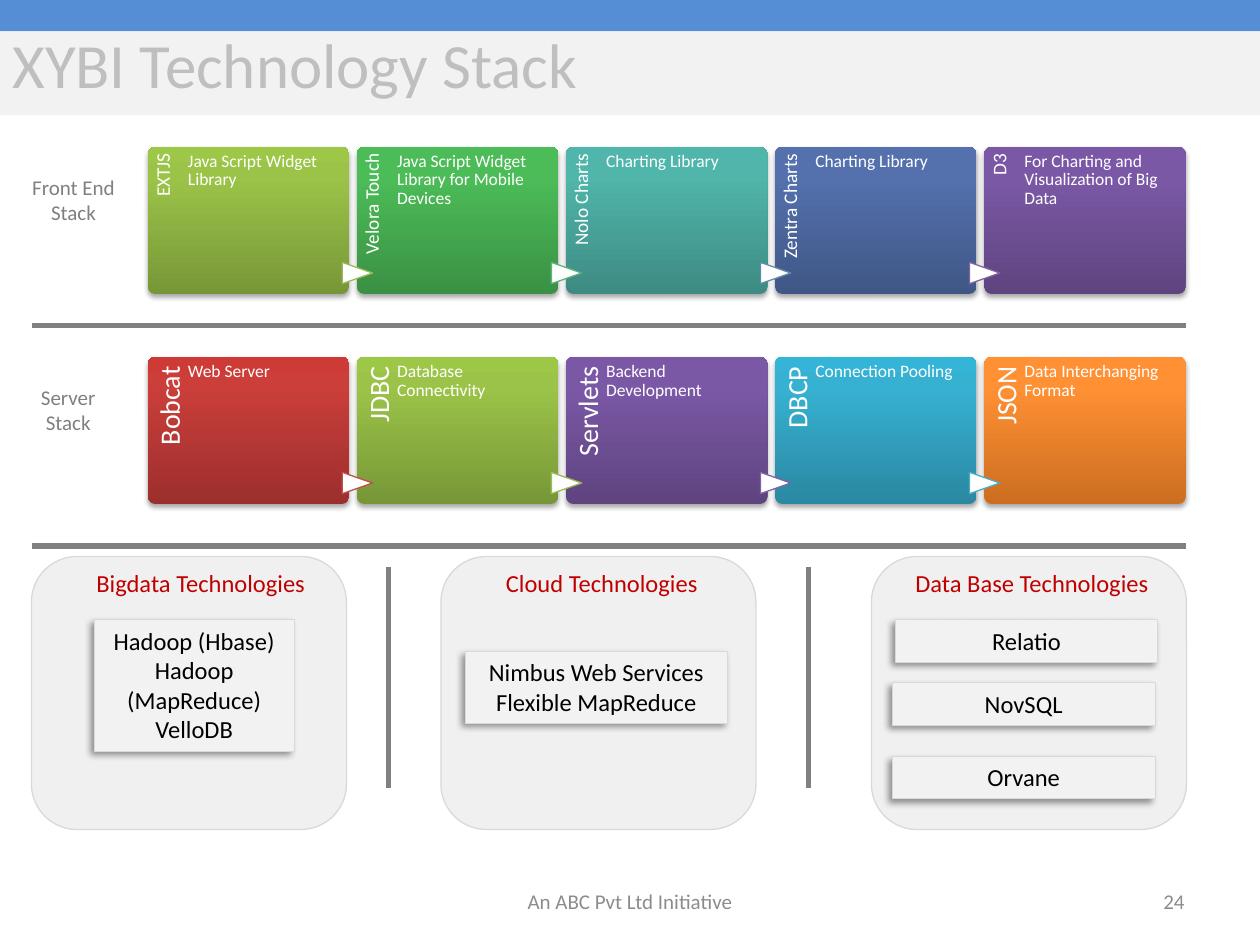
from lxml import etree
from pptx import Presentation
from pptx.dml.color import RGBColor
from pptx.enum.shapes import MSO_CONNECTOR, MSO_SHAPE
from pptx.enum.text import MSO_ANCHOR, MSO_AUTO_SIZE, PP_ALIGN
from pptx.oxml.ns import qn
from pptx.util import Pt

RECTANGLE = MSO_SHAPE.RECTANGLE
ROUNDED = MSO_SHAPE.ROUNDED_RECTANGLE
TRIANGLE = MSO_SHAPE.FLOWCHART_EXTRACT
STRAIGHT = MSO_CONNECTOR.STRAIGHT
LEFT, CENTER, RIGHT = PP_ALIGN.LEFT, PP_ALIGN.CENTER, PP_ALIGN.RIGHT
TOP, MIDDLE = MSO_ANCHOR.TOP, MSO_ANCHOR.MIDDLE
GROW, FIXED = MSO_AUTO_SIZE.SHAPE_TO_FIT_TEXT, MSO_AUTO_SIZE.NONE

COLORS = {
    "banner": "558ED5", "light": "F2F2F2", "title": "BFBFBF", "white": "FFFFFF",
    "black": "000000", "gray": "808080", "footer": "8C8C8C", "heading": "C00000",
    "panel": "BFBFBF", "border": "D9D9D9",
    "red_edge": "C0504D", "lime_edge": "9BBB59", "green_edge": "5CB37C",
    "blue_edge": "608CAB", "purple_edge": "8064A2", "cyan_edge": "4BACC6",
}
GRADIENTS = {
    "red": ("9C2F2D", "CB3E3A", "CE3B37"),
    "lime": ("779737", "9BC348", "9DC746"),
    "green": ("3A9144", "4CBC58", "4ABF57"),
    "teal": ("3D8B83", "50B5AA", "4EB8AC"),
    "blue": ("405786", "5471AE", "5271B0"),
    "purple": ("5F4480", "7B58A6", "7C57A8"),
    "cyan": ("2A88A2", "37B1D2", "34B4D6"),
    "orange": ("CC6E20", "FF9034", "FF9136"),
}


def add_box(shapes, kind, box, fill, line=None, line_width=0.75, shadow=None):
    shape = shapes.add_shape(kind, *[Pt(value) for value in box])
    shape.shadow.inherit = False
    if fill in GRADIENTS:
        shape.fill.gradient()
        shape.fill.gradient_angle = 90
        stops = shape._element.spPr.find(".//" + qn("a:gsLst"))
        for stop in list(stops):
            stops.remove(stop)
        for position, color in zip((0, 80000, 100000), GRADIENTS[fill]):
            stop = etree.SubElement(stops, qn("a:gs"), pos=str(position))
            etree.SubElement(stop, qn("a:srgbClr"), val=color)
    else:
        shape.fill.solid()
        shape.fill.fore_color.rgb = RGBColor.from_string(COLORS[fill])
    if line:
        shape.line.color.rgb = RGBColor.from_string(COLORS[line])
        shape.line.width = Pt(line_width)
    else:
        shape.line.fill.background()
    if shadow:
        alpha, blur, distance, angle = shadow
        effects = shape._element.spPr.find(qn("a:effectLst"))
        outer = etree.SubElement(
            effects, qn("a:outerShdw"), blurRad=str(Pt(blur)), dist=str(Pt(distance)),
            dir=str(angle * 60000), rotWithShape="0")
        color = etree.SubElement(outer, qn("a:srgbClr"), val=COLORS["black"])
        etree.SubElement(color, qn("a:alpha"), val=str(alpha * 1000))
    return shape


def write_text(shape, lines, size, color, align=LEFT, anchor=TOP, resize=FIXED,
               insets=(7.2, 3.6, 7.2, 3.6), spacing=None):
    frame = shape.text_frame
    frame.word_wrap = True
    frame.auto_size = resize
    frame.vertical_anchor = anchor
    (frame.margin_left, frame.margin_top,
     frame.margin_right, frame.margin_bottom) = [Pt(inset) for inset in insets]
    for index, line in enumerate(lines):
        paragraph = frame.add_paragraph() if index else frame.paragraphs[0]
        paragraph.alignment = align
        if spacing:
            paragraph.line_spacing = spacing
            paragraph.space_after = Pt(size * 0.35)
        run = paragraph.add_run()
        run.text = line
        run.font.name = "Calibri"
        run.font.size = Pt(size)
        run.font.color.rgb = RGBColor.from_string(COLORS[color])


presentation = Presentation()
presentation.slide_width = Pt(720)
presentation.slide_height = Pt(540)
slide = presentation.slides.add_slide(presentation.slide_layouts[6])

add_box(slide.shapes, RECTANGLE, (0, 0, 720, 18), "banner")
add_box(slide.shapes, RECTANGLE, (0, 18, 720, 48), "light")
title = add_box(slide.shapes, RECTANGLE, (0, 18, 720, 36), "light")
write_text(title, ["XYBI Technology Stack"], 36, "title", anchor=MIDDLE)

stacks = [
    (204, 16, (0, 4.6, 5.6, 0), [
        ("Bobcat", "Web Server", "red", None),
        ("JDBC", "Database Connectivity", "lime", "red_edge"),
        ("Servlets", "Backend Development", "purple", "lime_edge"),
        ("DBCP", "Connection Pooling", "cyan", "purple_edge"),
        ("JSON", "Data Interchanging Format", "orange", "cyan_edge"),
    ]),
    (84, 11, (0, 3.1, 3.9, 0), [
        ("EXTJS", "Java Script Widget Library", "lime", None),
        ("Velora Touch", "Java Script Widget Library for Mobile Devices",
         "green", "lime_edge"),
        ("Nolo Charts", "Charting Library", "teal", "green_edge"),
        ("Zentra Charts", "Charting Library", "blue", "blue_edge"),
        ("D3", "For Charting and Visualization of Big Data",
         "purple", "purple_edge"),
    ]),
]
for top, name_size, name_insets, cards in stacks:
    group = slide.shapes.add_group_shape()
    for column, (name, description, gradient, arrow_edge) in enumerate(cards):
        left = 84.4 + 119.5 * column
        card = add_box(group.shapes, ROUNDED, (left, top, 115.2, 84), gradient,
                       shadow=(35, 3.1, 1.8, 90))
        card.adjustments[0] = 0.05
        label = group.shapes.add_textbox(Pt(left - 23), Pt(top + 22.8), Pt(69), Pt(23))
        label.rotation = 270
        write_text(label, [name], name_size, "white", RIGHT,
                   insets=name_insets, spacing=0.9)
        if arrow_edge:
            arrow = add_box(group.shapes, TRIANGLE,
                            (left - 5.8, top + 63.4, 12.2, 17.3), "white", arrow_edge)
            arrow.rotation = 90
        body = group.shapes.add_textbox(Pt(left + 23), Pt(top), Pt(85.8), Pt(84))
        write_text(body, [description], 10, "white", insets=(0, 2.8, 0, 0), spacing=0.9)

dividers = [
    (18, 186, 678, 186), (18, 312, 678, 312),
    (222, 324, 222, 450), (462, 324, 462, 450),
]
for ends in dividers:
    divider = slide.shapes.add_connector(STRAIGHT, *[Pt(value) for value in ends])
    divider.line.color.rgb = RGBColor.from_string(COLORS["gray"])
    divider.line.width = Pt(3)
    etree.SubElement(divider._element.spPr, qn("a:effectLst"))

for text, left, top, width in [("Front End Stack", 0, 96, 84), ("Server Stack", 6, 216, 66)]:
    label = slide.shapes.add_textbox(Pt(left), Pt(top), Pt(width), Pt(36))
    write_text(label, [text], 12, "gray", CENTER, resize=GROW)

panels = [
    (18, "Bigdata Technologies", 48, 144, [
        ((54, 354, 114, 75.2), ["Hadoop (Hbase)", "Hadoop (MapReduce)", "VelloDB"]),
    ]),
    (252, "Cloud Technologies", 282, 132, [
        ((265.8, 372, 150, 41.2), ["Nimbus Web Services", "Flexible MapReduce"]),
    ]),
    (498, "Data Base Technologies", 516, 150, [
        ((511.6, 354, 150, 24.3), ["Relatio"]),
        ((510, 390, 150, 24.3), ["NovSQL"]),
        ((510, 432, 150, 24.3), ["Orvane"]),
    ]),
]
for left, heading, heading_left, heading_width, products in panels:
    panel = add_box(slide.shapes, ROUNDED, (left, 318, 180, 156), "panel", "border")
    fill_color = panel._element.spPr.find(qn("a:solidFill"))[0]
    etree.SubElement(fill_color, qn("a:alpha"), val="22000")
    for box, lines in products:
        product = add_box(slide.shapes, RECTANGLE, box, "light", "border", 0.25,
                          shadow=(40, 4, 3, 135))
        write_text(product, lines, 14, "black", CENTER, resize=GROW)
    label = slide.shapes.add_textbox(Pt(heading_left), Pt(321), Pt(heading_width), Pt(24.3))
    write_text(label, [heading], 14, "heading", resize=GROW)

for text, left, width, align in [
    ("24", 516, 168, RIGHT), ("An ABC Pvt Ltd Initiative", 246, 228, CENTER),
]:
    footer = slide.shapes.add_textbox(Pt(left), Pt(500.5), Pt(width), Pt(28.8))
    write_text(footer, [text], 12, "footer", align, MIDDLE)

presentation.save("out.pptx")
